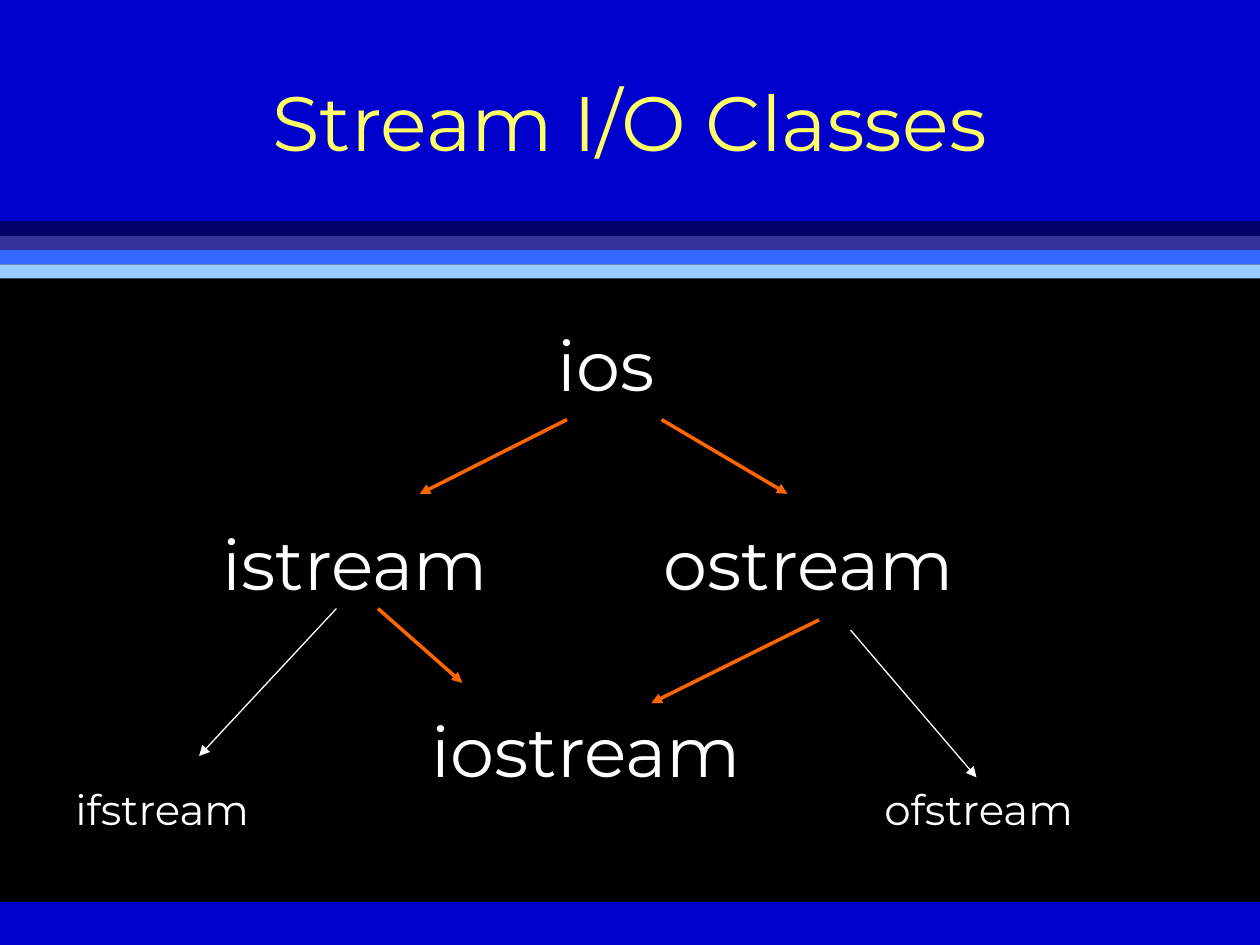
import pptx
import pptx.dml.color
import pptx.enum.shapes
import pptx.enum.text
import pptx.oxml
import pptx.oxml.ns
import pptx.util
from pptx.util import Inches

COLORS = {
    "backdrop": "969696",
    "body": "000000",
    "banner": "0000CC",
    "navy": "000066",
    "indigo": "333399",
    "azure": "3366FF",
    "sky": "99CCFF",
    "title": "FFFF66",
    "text": "FFFFFF",
    "inherits": "FF6600",
}


def rgb(name):
    return pptx.dml.color.RGBColor.from_string(COLORS[name])


def apply_format(target, values):
    for name, value in values.items():
        setattr(target, name, value)


class SlideBuilder:
    font_name = "Montserrat"

    def __init__(self, presentation):
        self.slide = presentation.slides.add_slide(presentation.slide_layouts[6])
        fill = self.slide.background.fill
        fill.solid()
        fill.fore_color.rgb = rgb("backdrop")

    def band(self, top, height, color):
        shape = self.slide.shapes.add_shape(
            pptx.enum.shapes.MSO_SHAPE.RECTANGLE,
            Inches(0), Inches(top), Inches(10), Inches(height))
        shape.shadow.inherit = False
        shape.fill.solid()
        shape.fill.fore_color.rgb = rgb(color)
        shape.line.fill.background()

    def text(self, text, left, top, width, height, size, color="text",
             align="LEFT", anchor="TOP"):
        shape = self.slide.shapes.add_textbox(
            Inches(left), Inches(top), Inches(width), Inches(height))
        apply_format(shape.text_frame, {
            "word_wrap": True,
            "vertical_anchor": getattr(pptx.enum.text.MSO_ANCHOR, anchor),
        })
        paragraph = shape.text_frame.paragraphs[0]
        paragraph.text = text
        paragraph.alignment = getattr(pptx.enum.text.PP_ALIGN, align)
        apply_format(paragraph.font, {
            "name": self.font_name,
            "size": pptx.util.Pt(size),
        })
        paragraph.font.color.rgb = rgb(color)

    def arrow(self, start, end, color, width):
        connector = self.slide.shapes.add_connector(
            pptx.enum.shapes.MSO_CONNECTOR.STRAIGHT,
            *(Inches(value) for value in (*start, *end)))
        connector.line.width = pptx.util.Pt(width)
        connector.line.color.rgb = rgb(color)
        namespace = pptx.oxml.ns.nsdecls("a")
        connector.line._get_or_add_ln().append(
            pptx.oxml.parse_xml(f'<a:tailEnd {namespace} type="triangle"/>'))
        connector._element.spPr.append(
            pptx.oxml.parse_xml(f"<a:effectLst {namespace}/>"))


def main():
    presentation = pptx.Presentation()
    apply_format(presentation, {
        "slide_width": Inches(10),
        "slide_height": Inches(7.5),
    })
    builder = SlideBuilder(presentation)

    builder.band(1.5, 6, "body")
    builder.band(7.16, 0.34, "banner")
    builder.band(0, 1.76, "banner")
    stripe_height = 0.45 / 4
    for index, color in enumerate(("navy", "indigo", "azure", "sky")):
        builder.band(1.76 + index * stripe_height, stripe_height, color)

    builder.text("Stream I/O Classes", 0.75, 0.33, 8.5, 1.25, 44,
                 "title", "CENTER", "MIDDLE")

    for name, left, top, width in (
        ("ios", 4.33, 2.5, 1.67),
        ("istream", 1.67, 4.08, 2.92),
        ("ostream", 5.17, 4.08, 3.17),
        ("iostream", 3.33, 5.57, 3.75),
    ):
        builder.text(name, left, top, width, 0.77, 40)

    for name, left, width in (("ifstream", 0.5, 2.25), ("ofstream", 6.92, 2)):
        builder.text(name, left, 6.17, width, 0.5, 24)

    for start, end in (
        ((5.25, 3.33), (6.25, 3.92)),
        ((6.5, 4.92), (5.17, 5.58)),
        ((4.5, 3.33), (3.33, 3.92)),
        ((3, 4.83), (3.67, 5.42)),
    ):
        builder.arrow(start, end, "inherits", 2)

    for start, end in (((2.67, 4.83), (1.58, 6)), ((6.75, 5), (7.75, 6.17))):
        builder.arrow(start, end, "text", 0.75)

    presentation.save("out.pptx")


if __name__ == "__main__":
    main()
